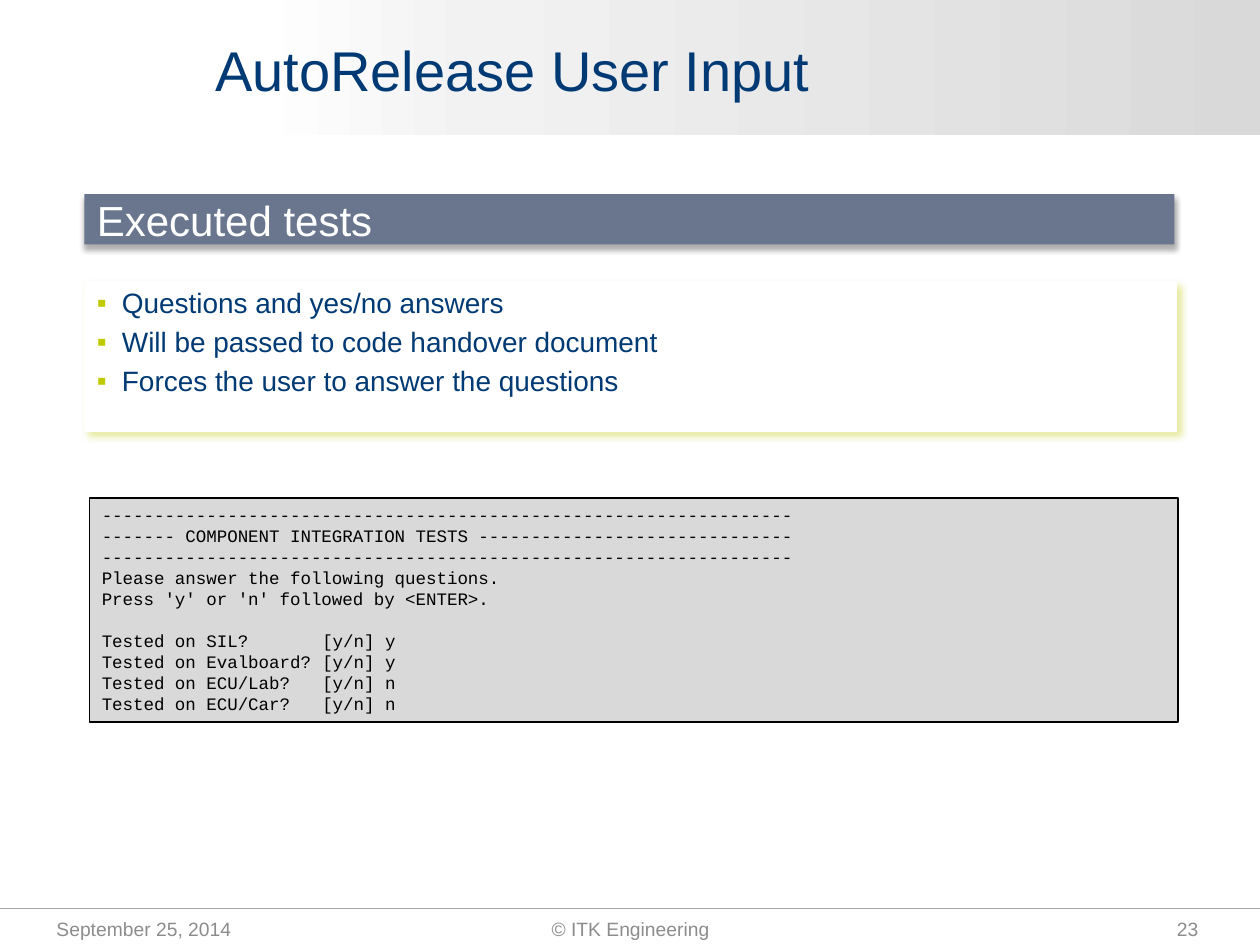
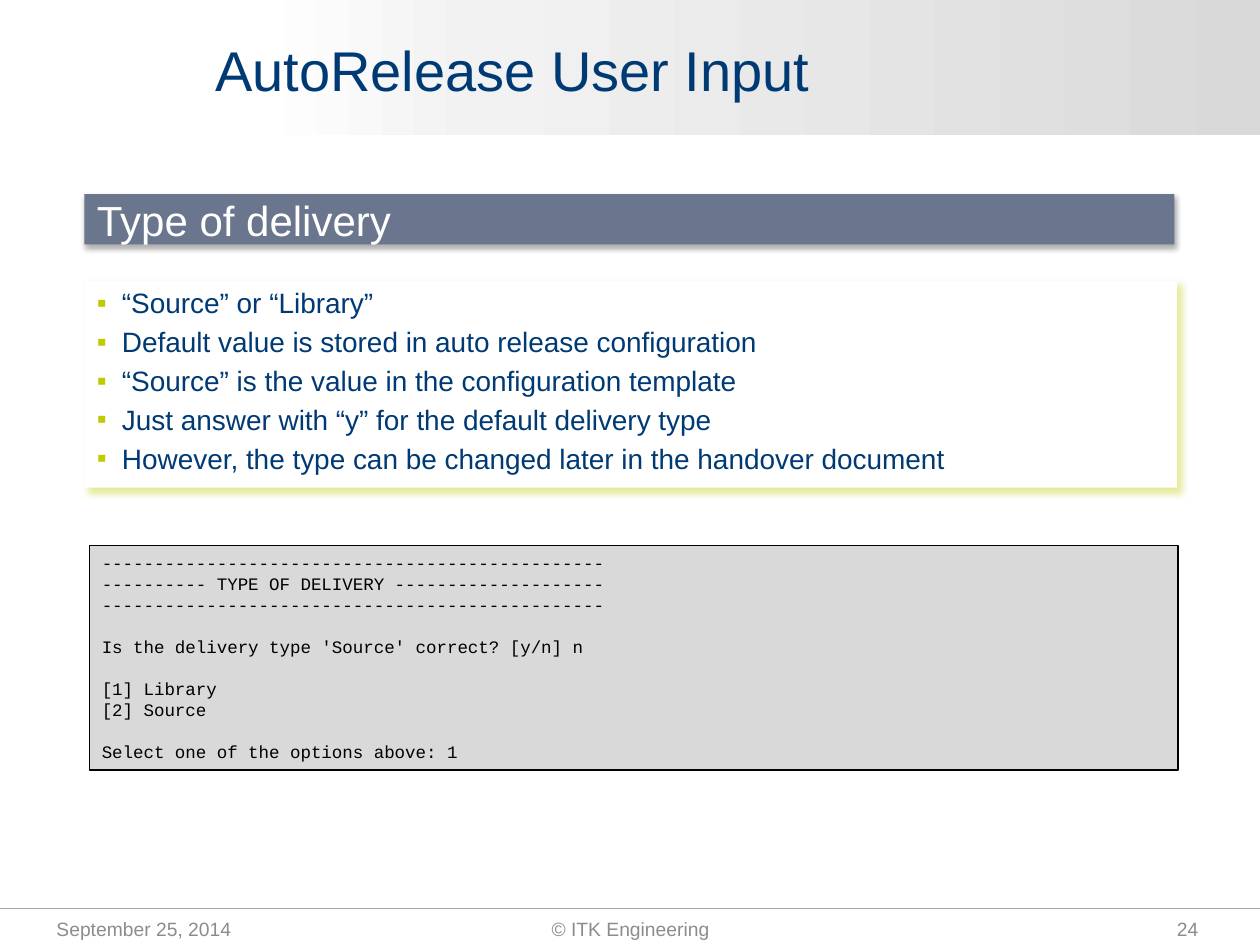
from dataclasses import dataclass
from typing import Any

from lxml.etree import SubElement
from pptx import Presentation
from pptx.dml.color import RGBColor
from pptx.enum.shapes import MSO_CONNECTOR as Connector, MSO_SHAPE as Preset
from pptx.enum.text import MSO_ANCHOR as Anchor, MSO_AUTO_SIZE as AutoSize, PP_ALIGN as Align
from pptx.oxml.ns import qn
from pptx.util import Emu, Pt

EMU_PER_PX = 9144
COLORS = {
    "navy": "003A74",
    "slate": "69768D",
    "lime": "BFCA00",
    "silver": "D9D9D9",
    "mist": "F2F2F2",
    "rule": "A6A6A6",
    "footer": "8C8C8C",
    "white": "FFFFFF",
    "black": "000000",
}
BAND_STOPS = ((0, "silver"), (62, "mist"), (80, "white"))
CONSOLE_GAP = Pt(12)
ANSWER_COLUMN = 175


@dataclass(frozen=True)
class Frame:
    left: int
    top: int
    width: int
    height: int

    def emu(self) -> tuple[Emu, ...]:
        return tuple(px(n) for n in (self.left, self.top, self.width, self.height))


@dataclass(frozen=True)
class TextStyle:
    size: int
    color: str
    font: str = "Arial"


@dataclass(frozen=True)
class Shadow:
    color: str
    opacity: int
    blur: float
    distance: float
    angle: int


@dataclass(frozen=True)
class FooterItem:
    frame: Frame
    align: Align
    text: str


@dataclass(frozen=True)
class Topic:
    number: int
    heading: str
    bullets: tuple[str, ...]
    panel_height: int
    console_top: int
    console: tuple[tuple[str, ...], ...]


TITLE = TextStyle(32, "navy")
HEADING = TextStyle(24, "white")
BODY = TextStyle(16, "navy")
FOOTER = TextStyle(11, "footer")
CODE = TextStyle(10, "black", "Courier New")
HEADING_SHADOW = Shadow("black", 32, 3.5, 2.2, 90)
PANEL_SHADOW = Shadow("lime", 40, 4, 3, 45)
FOOTER_ITEMS = (
    FooterItem(Frame(35, 717, 233, 40), Align.LEFT, "September 25, 2014"),
    FooterItem(Frame(342, 717, 317, 40), Align.CENTER, "© ITK Engineering"),
    FooterItem(Frame(728, 717, 233, 40), Align.RIGHT, "{number}"),
)


def console_banner(lead: int, name: str, width: int) -> tuple[str, ...]:
    rule = "-" * width
    return rule, f"{'-' * lead} {name} ".ljust(width, "-"), rule


TOPICS = (
    Topic(
        23,
        "Executed tests",
        (
            "Questions and yes/no answers",
            "Will be passed to code handover document",
            "Forces the user to answer the questions",
        ),
        120,
        395,
        (
            console_banner(7, "COMPONENT INTEGRATION TESTS", 66)
            + (
                "Please answer the following questions.",
                "Press 'y' or 'n' followed by <ENTER>.",
            ),
            (
                "Tested on SIL?\t[y/n] y",
                "Tested on Evalboard?\t[y/n] y",
                "Tested on ECU/Lab?\t[y/n] n",
                "Tested on ECU/Car?\t[y/n] n",
            ),
        ),
    ),
    Topic(
        24,
        "Type of delivery",
        (
            "“Source” or “Library”",
            "Default value is stored in auto release configuration",
            "“Source” is the value in the configuration template",
            "Just answer with “y” for the default delivery type",
            "However, the type can be changed later in the handover document",
        ),
        164,
        433,
        (
            console_banner(10, "TYPE OF DELIVERY", 48),
            ("Is the delivery type 'Source' correct? [y/n] n",),
            ("[1] Library", "[2] Source"),
            ("Select one of the options above: 1",),
        ),
    ),
)


def px(length: int) -> Emu:
    return Emu(length * EMU_PER_PX)


def rgb(color: str) -> RGBColor:
    return RGBColor.from_string(COLORS[color])


def apply_format(target: Any, values: dict[str, Any]) -> None:
    for name, value in values.items():
        setattr(target, name, value)


def add_node(parent: Any, tag: str, **attributes: Any) -> Any:
    return SubElement(parent, qn(tag), {key: str(value) for key, value in attributes.items()})


def write_span(para: Any, text: str, style: TextStyle) -> None:
    span = para.add_run()
    span.text = text
    apply_format(span.font, {"size": Pt(style.size), "name": style.font})
    span.font.color.rgb = rgb(style.color)


def next_para(box: Any, index: int) -> Any:
    return box.text_frame.add_paragraph() if index else box.text_frame.paragraphs[0]


def add_text(page: Any, frame: Frame, text: str, style: TextStyle, align: Align = Align.LEFT) -> None:
    box = page.shapes.add_textbox(*frame.emu())
    apply_format(box.text_frame, {"word_wrap": True, "vertical_anchor": Anchor.MIDDLE})
    para = box.text_frame.paragraphs[0]
    para.alignment = align
    write_span(para, text, style)


def add_box(page: Any, frame: Frame, fill: str, anchor: Anchor, shadow: Shadow | None = None) -> Any:
    box = page.shapes.add_shape(Preset.RECTANGLE, *frame.emu())
    box.fill.solid()
    box.fill.fore_color.rgb = rgb(fill)
    box.line.fill.background()
    box.shadow.inherit = False
    apply_format(box.text_frame, {"word_wrap": True, "vertical_anchor": anchor})
    if shadow:
        outer = add_node(
            box._element.spPr.find(qn("a:effectLst")),
            "a:outerShdw",
            blurRad=Pt(shadow.blur),
            dist=Pt(shadow.distance),
            dir=shadow.angle * 60000,
            algn="tl",
            rotWithShape=0,
        )
        color = add_node(outer, "a:srgbClr", val=COLORS[shadow.color])
        add_node(color, "a:alpha", val=shadow.opacity * 1000)
    return box


def draw_band(page: Any) -> None:
    band = add_box(page, Frame(0, -2, 1000, 109), "white", Anchor.MIDDLE)
    band.fill.gradient()
    band.fill.gradient_angle = 180
    stops = band._element.spPr.find(".//" + qn("a:gsLst"))
    stops.clear()
    for position, color in BAND_STOPS:
        stop = add_node(stops, "a:gs", pos=position * 1000)
        add_node(stop, "a:srgbClr", val=COLORS[color])


def draw_common(page: Any, number: int) -> None:
    draw_band(page)
    rule = page.shapes.add_connector(Connector.STRAIGHT, px(0), px(721), px(1000), px(721))
    rule.line.color.rgb = rgb("rule")
    rule.line.width = Pt(0.75)
    add_node(rule._element.spPr, "a:effectLst")
    add_text(page, Frame(161, 13, 803, 83), "AutoRelease User Input", TITLE)
    for item in FOOTER_ITEMS:
        add_text(page, item.frame, item.text.format(number=number), FOOTER, item.align)


def draw_heading(page: Any, text: str) -> None:
    box = add_box(page, Frame(67, 154, 865, 40), "slate", Anchor.MIDDLE, HEADING_SHADOW)
    para = box.text_frame.paragraphs[0]
    para.alignment = Align.LEFT
    write_span(para, text, HEADING)


def draw_bullets(page: Any, bullets: tuple[str, ...], height: int) -> None:
    box = add_box(page, Frame(67, 223, 867, height), "white", Anchor.TOP, PANEL_SHADOW)
    box.text_frame.margin_top = px(4)
    for index, text in enumerate(bullets):
        para = next_para(box, index)
        properties = para._p.get_or_add_pPr()
        apply_format(para, {"alignment": Align.LEFT, "space_before": Pt(3 if index else 0)})
        properties.set("marL", str(px(20)))
        properties.set("indent", str(px(-20)))
        color = add_node(properties, "a:buClr")
        add_node(color, "a:srgbClr", val=COLORS["lime"])
        add_node(properties, "a:buFont", typeface="Arial")
        add_node(properties, "a:buChar", char="▪")
        write_span(para, text, BODY)


def draw_console(page: Any, blocks: tuple[tuple[str, ...], ...], top: int) -> None:
    box = add_box(page, Frame(71, top, 864, 178), "silver", Anchor.TOP)
    box.line.color.rgb = rgb("black")
    box.line.width = Pt(1)
    box.text_frame.auto_size = AutoSize.SHAPE_TO_FIT_TEXT
    lines = [(text, row == 0) for block in blocks for row, text in enumerate(block)]
    for index, (text, starts_block) in enumerate(lines):
        para = next_para(box, index)
        para.alignment = Align.LEFT
        if index and starts_block:
            para.space_before = CONSOLE_GAP
        if "\t" in text:
            tabs = add_node(para._p.get_or_add_pPr(), "a:tabLst")
            add_node(tabs, "a:tab", pos=px(ANSWER_COLUMN), algn="l")
        write_span(para, text, CODE)


def main() -> None:
    deck = Presentation()
    apply_format(deck, {"slide_width": px(1000), "slide_height": px(750)})
    for topic in TOPICS:
        page = deck.slides.add_slide(deck.slide_layouts[6])
        draw_common(page, topic.number)
        draw_heading(page, topic.heading)
        draw_bullets(page, topic.bullets, topic.panel_height)
        draw_console(page, topic.console, topic.console_top)
    deck.save("out.pptx")


if __name__ == "__main__":
    main()
